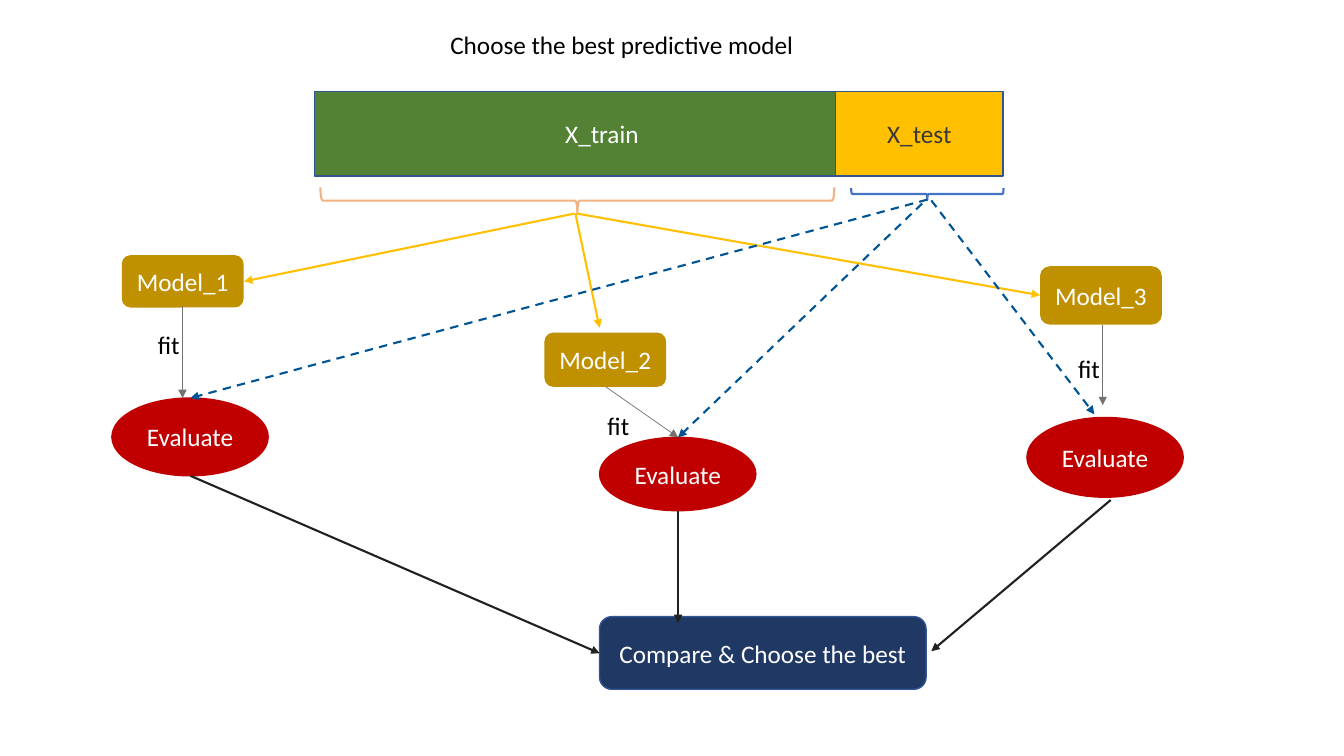
from typing import NamedTuple, Optional

from lxml.etree import SubElement
from pptx import Presentation
from pptx.dml.color import RGBColor
from pptx.enum.dml import MSO_LINE
from pptx.enum.shapes import MSO_CONNECTOR, MSO_SHAPE
from pptx.enum.text import MSO_ANCHOR, MSO_AUTO_SIZE, PP_ALIGN
from pptx.oxml.ns import qn
from pptx.util import Cm, Pt

WHITE = RGBColor(0xFF, 0xFF, 0xFF)
BLACK = RGBColor(0x00, 0x00, 0x00)
CHARCOAL = RGBColor(0x3B, 0x38, 0x38)
GREEN = RGBColor(0x54, 0x82, 0x35)
AMBER = RGBColor(0xFF, 0xC0, 0x00)
OCHRE = RGBColor(0xBF, 0x90, 0x00)
RED = RGBColor(0xC0, 0x00, 0x00)
NAVY = RGBColor(0x20, 0x38, 0x64)
OUTLINE_BLUE = RGBColor(0x32, 0x54, 0x91)
PEACH = RGBColor(0xF4, 0xB1, 0x83)
BRACE_BLUE = RGBColor(0x44, 0x72, 0xC4)
DASH_BLUE = RGBColor(0x00, 0x54, 0x93)
GRAY = RGBColor(0x76, 0x71, 0x71)
INK = RGBColor(0x21, 0x21, 0x21)

MODEL_WIDTH = 3.07
EVALUATE_WIDTH = 3.94


class Box(NamedTuple):
    """A labelled shape; lengths are in centimetres."""
    text: str
    kind: MSO_SHAPE
    left: float
    top: float
    width: float
    height: float
    fill: RGBColor
    outline: Optional[RGBColor] = OUTLINE_BLUE
    color: RGBColor = WHITE


class Brace(NamedTuple):
    """A right brace turned to point down; the frame is given before turning."""
    left: float
    top: float
    width: float
    height: float
    color: RGBColor


class Label(NamedTuple):
    text: str
    left: float
    top: float
    width: float


class ArrowStyle(NamedTuple):
    color: RGBColor
    weight: float = 1.5
    dashed: bool = False


class Arrow(NamedTuple):
    start: tuple[float, float]
    end: tuple[float, float]
    style: ArrowStyle


TRAIN = ArrowStyle(AMBER)
FIT = ArrowStyle(GRAY, weight=0.5)
TEST = ArrowStyle(DASH_BLUE, dashed=True)
COMPARE = ArrowStyle(INK)


def model(number: int, left: float, top: float, height: float) -> Box:
    return Box(f"Model_{number}", MSO_SHAPE.ROUNDED_RECTANGLE,
               left, top, MODEL_WIDTH, height, OCHRE, None)


def evaluate(left: float, top: float, height: float) -> Box:
    return Box("Evaluate", MSO_SHAPE.OVAL,
               left, top, EVALUATE_WIDTH, height, RED, RED)


BOXES = [
    Box("X_train", MSO_SHAPE.RECTANGLE, 7.92, 2.31, 14.5, 2.13, GREEN),
    Box("X_test", MSO_SHAPE.RECTANGLE, 21.06, 2.31, 4.22, 2.13, AMBER,
        color=CHARCOAL),
    model(1, 3.07, 6.43, 1.32),
    model(2, 13.72, 8.38, 1.37),
    model(3, 26.21, 6.71, 1.47),
    evaluate(2.82, 10.03, 1.96),
    evaluate(15.11, 11.02, 1.85),
    evaluate(25.88, 10.52, 2.01),
    Box("Compare & Choose the best", MSO_SHAPE.ROUNDED_RECTANGLE,
        15.11, 15.54, 8.23, 1.83, NAVY),
]
BRACES = [
    Brace(14.22, -1.42, 0.66, 12.95, PEACH),
    Brace(23.22, 2.97, 0.3, 3.84, BRACE_BLUE),
]
LABELS = [
    Label("Choose the best predictive model", 11.1, 0.61, 9.27),
    Label("fit", 3.73, 8.18, 1.07),
    Label("fit", 15.06, 10.21, 1.07),
    Label("fit", 26.92, 8.79, 1.07),
]
ARROWS = [
    Arrow((14.48, 5.38), (6.15, 7.09), TRAIN),
    Arrow((14.5, 5.38), (15.11, 8.26), TRAIN),
    Arrow((14.53, 5.38), (26.21, 7.44), TRAIN),
    Arrow((4.6, 7.72), (4.6, 10.03), FIT),
    Arrow((15.27, 9.75), (17.09, 11.02), FIT),
    Arrow((27.79, 8.18), (27.79, 10.21), FIT),
    Arrow((23.37, 5.03), (4.8, 10.03), TEST),
    Arrow((23.24, 5.13), (17.09, 11.02), TEST),
    Arrow((23.47, 5.05), (27.58, 10.44), TEST),
    Arrow((4.8, 11.99), (15.11, 16.46), COMPARE),
    Arrow((17.09, 12.88), (17.09, 15.7), COMPARE),
    Arrow((27.99, 12.6), (23.47, 16.41), COMPARE),
]


def write_text(frame, text: str, color: RGBColor) -> None:
    frame.text = text
    font = frame.paragraphs[0].runs[0].font
    font.name = "Calibri"
    font.size = Pt(18)
    font.color.rgb = color


def draw_box(page, box: Box) -> None:
    shape = page.shapes.add_shape(box.kind, Cm(box.left), Cm(box.top),
                                  Cm(box.width), Cm(box.height))
    shape.shadow.inherit = False
    shape.fill.solid()
    shape.fill.fore_color.rgb = box.fill
    if box.outline is None:
        shape.line.fill.background()
    else:
        shape.line.color.rgb = box.outline
        shape.line.width = Pt(1)
    frame = shape.text_frame
    frame.vertical_anchor = MSO_ANCHOR.MIDDLE
    write_text(frame, box.text, box.color)
    frame.paragraphs[0].alignment = PP_ALIGN.CENTER


def draw_brace(page, brace: Brace) -> None:
    shape = page.shapes.add_shape(MSO_SHAPE.RIGHT_BRACE, Cm(brace.left), Cm(brace.top),
                                  Cm(brace.width), Cm(brace.height))
    shape.rotation = 90
    shape.shadow.inherit = False
    shape.fill.background()
    shape.line.color.rgb = brace.color
    shape.line.width = Pt(1.5)


def draw_label(page, label: Label) -> None:
    frame = page.shapes.add_textbox(Cm(label.left), Cm(label.top),
                                    Cm(label.width), Cm(1.02)).text_frame
    frame.word_wrap = False
    frame.auto_size = MSO_AUTO_SIZE.SHAPE_TO_FIT_TEXT
    write_text(frame, label.text, BLACK)


def draw_arrow(page, arrow: Arrow) -> None:
    connector = page.shapes.add_connector(
        MSO_CONNECTOR.STRAIGHT, *map(Cm, arrow.start), *map(Cm, arrow.end))
    line = connector.line
    line.color.rgb = arrow.style.color
    line.width = Pt(arrow.style.weight)
    if arrow.style.dashed:
        line.dash_style = MSO_LINE.DASH
    SubElement(line._get_or_add_ln(), qn("a:tailEnd"), type="triangle")
    SubElement(connector._element.spPr, qn("a:effectLst"))


def main() -> None:
    deck = Presentation()
    deck.slide_width, deck.slide_height = Cm(33.87), Cm(19.05)
    page = deck.slides.add_slide(deck.slide_layouts[6])
    for draw, items in ((draw_box, BOXES), (draw_brace, BRACES),
                        (draw_label, LABELS), (draw_arrow, ARROWS)):
        for item in items:
            draw(page, item)
    deck.save("out.pptx")


if __name__ == "__main__":
    main()
